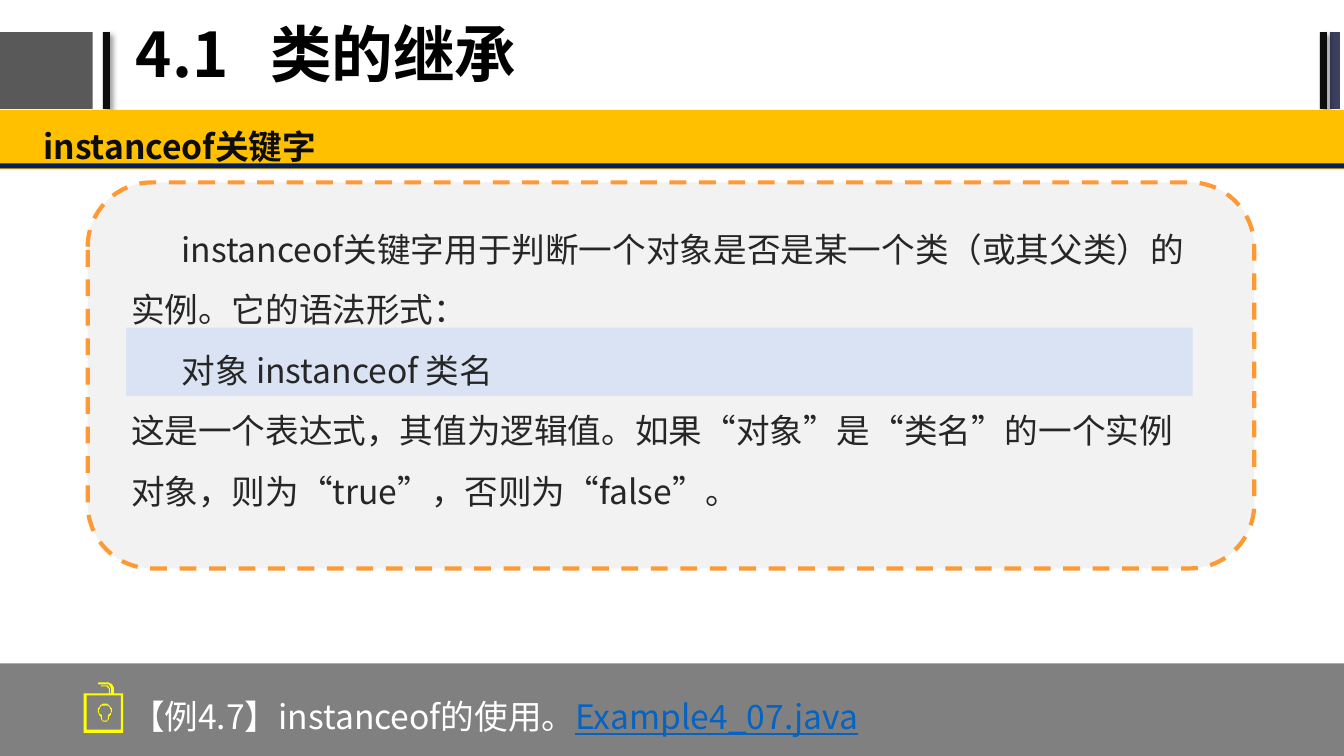
from dataclasses import dataclass
from math import cos, radians, sin

from lxml.etree import SubElement
from pptx import Presentation
from pptx.dml.color import RGBColor
from pptx.enum.dml import MSO_LINE
from pptx.enum.shapes import MSO_SHAPE
from pptx.enum.text import MSO_ANCHOR
from pptx.oxml.ns import qn
from pptx.util import Emu, Pt

SCALE = 9144
FONT = "Noto Sans CJK SC"
ICON_YELLOW = "FFFF00"

Point = tuple[float, float]


@dataclass(frozen=True)
class Box:
    left: int
    top: int
    width: int
    height: int
    fill: str
    shadow: bool = False
    rounded: bool = False
    dash: str = ""


@dataclass(frozen=True)
class Run:
    text: str
    color: str
    underline: bool = False


@dataclass(frozen=True)
class Line:
    runs: tuple[Run, ...]
    indent: int = 0
    tab: int = 0


@dataclass(frozen=True)
class Label:
    left: int
    top: int
    width: int
    height: int
    lines: tuple[Line, ...]
    spacing: float
    size: int = 24
    bold: bool = False
    middle: bool = False
    inset: tuple[int, int] = (13, 7)


def px(length: int) -> Emu:
    return Emu(length * SCALE)


def rgb(color: str) -> RGBColor:
    return RGBColor.from_string(color)


def add_shadow(shape) -> None:
    effects = shape._element.spPr.find(qn("a:effectLst"))
    shadow = SubElement(effects, qn("a:outerShdw"), blurRad=str(Pt(4)),
                        dist=str(Pt(3)), dir="2700000", algn="tl", rotWithShape="0")
    color = SubElement(shadow, qn("a:srgbClr"), val="000000")
    SubElement(color, qn("a:alpha"), val="40000")


def draw_box(slide, box: Box) -> None:
    kind = MSO_SHAPE.ROUNDED_RECTANGLE if box.rounded else MSO_SHAPE.RECTANGLE
    shape = slide.shapes.add_shape(kind, px(box.left), px(box.top), px(box.width), px(box.height))
    shape.shadow.inherit = False
    shape.fill.solid()
    shape.fill.fore_color.rgb = rgb(box.fill)
    if box.dash:
        shape.line.color.rgb = rgb(box.dash)
        shape.line.width = Pt(3)
        shape.line.dash_style = MSO_LINE.DASH
    else:
        shape.line.fill.background()
    if box.shadow:
        add_shadow(shape)


def draw_label(slide, label: Label) -> None:
    shape = slide.shapes.add_textbox(px(label.left), px(label.top), px(label.width), px(label.height))
    frame = shape.text_frame
    frame.word_wrap = True
    frame.margin_left = frame.margin_right = px(label.inset[0])
    frame.margin_top = frame.margin_bottom = px(label.inset[1])
    frame.vertical_anchor = MSO_ANCHOR.MIDDLE if label.middle else MSO_ANCHOR.TOP
    for index, line in enumerate(label.lines):
        paragraph = frame.add_paragraph() if index else frame.paragraphs[0]
        paragraph.line_spacing = label.spacing
        properties = paragraph._p.get_or_add_pPr()
        if line.indent:
            properties.set("marL", "0")
            properties.set("indent", str(px(line.indent)))
        if line.tab:
            tabs = SubElement(properties, qn("a:tabLst"))
            SubElement(tabs, qn("a:tab"), pos=str(px(line.tab)), algn="l")
        paragraph.font.size = Pt(label.size)
        paragraph.font.bold = label.bold
        paragraph.font.name = FONT
        if len(line.runs) == 1:
            paragraph.font.color.rgb = rgb(line.runs[0].color)
        SubElement(properties.find(qn("a:defRPr")), qn("a:ea"), typeface=FONT)
        for part in line.runs:
            run = paragraph.add_run()
            run.text = part.text
            if len(line.runs) > 1:
                run.font.color.rgb = rgb(part.color)
            if part.underline:
                run.font.underline = True


def arc(x: int, y: int, radius_x: int, radius_y: int, start: int, end: int) -> list[Point]:
    steps = 24
    angles = [radians(start + (end - start) * step / steps) for step in range(steps + 1)]
    return [(x + radius_x * cos(angle), y + radius_y * sin(angle)) for angle in angles]


def bulb_contour(radius_x: int, radius_y: int, base_x: int, base_y: int) -> list[Point]:
    return arc(104, 705, radius_x, radius_y, 120, 420) + arc(104, 713, base_x, base_y, 0, 180)


def draw_outline(slide, contours: list[list[Point]], color: str) -> None:
    builder = slide.shapes.build_freeform(*contours[0][0], scale=SCALE)
    for index, contour in enumerate(contours):
        if index:
            builder.move_to(*contour[0])
        builder.add_line_segments(contour[1:], close=True)
    shape = builder.convert_to_shape()
    shape.shadow.inherit = False
    shape.fill.solid()
    shape.fill.fore_color.rgb = rgb(color)
    shape.line.fill.background()


def body_line(text: str, indent: int = 0) -> Line:
    return Line((Run(text, "262626"),), indent)


BOXES = (
    Box(-2, 32, 94, 76, "595959"),
    Box(102, 32, 7, 76, "0D0D0D", shadow=True),
    Box(1319, 32, 10, 76, "3B3F60"),
    Box(1309, 32, 7, 76, "0D0D0D", shadow=True),
    Box(-5, 109, 1340, 59, "FFC000"),
    Box(0, 162, 1333, 5, "002060"),
    Box(87, 181, 1157, 383, "F2F2F2", rounded=True, dash="FF9933"),
    Box(125, 325, 1058, 68, "DAE3F3"),
    Box(0, 658, 1333, 92, "808080"),
)

LABELS = (
    Label(125, 2, 847, 110, (Line((Run("4.1\t类的继承", "000000"),), tab=133),),
          0.9, size=44, bold=True, middle=True, inset=(10, 5)),
    Label(30, 110, 1303, 58, (Line((Run("instanceof关键字", "0D0D0D"),)),), 1.2, bold=True),
    Label(117, 200, 1083, 367, (
        body_line("instanceof关键字用于判断一个对象是否是某一个类（或其父类）的实例。它的语法形式：", 50),
        body_line("对象 instanceof 类名", 50),
        body_line("这是一个表达式，其值为逻辑值。如果“对象”是“类名”的一个实例对象，则为“true”，否则为“false”。"),
    ), 1.5),
    Label(117, 675, 1019, 75, (Line((
        Run("【例4.7】instanceof的使用。", "FFFFFF"),
        Run("Example4_07.java", "0563C1", underline=True),
    )),), 1.2),
)

LOCK = [
    [(83, 688), (108, 688), *arc(105, 685, 3, 4, 0, -90), (100, 681), (100, 680),
     *arc(105, 685, 4, 5, -90, 0), (109, 688), (110, 688), *arc(106, 684, 4, 5, 0, -90),
     (98, 679), (97, 678), (98, 677), *arc(106, 684, 7, 7, -90, 0), (113, 688),
     (122, 688), (122, 727), (83, 727)],
    [(86, 690), (120, 690), (120, 724), (86, 724)],
]
BULB = [bulb_contour(7, 7, 4, 3), bulb_contour(6, 5, 3, 2)]


def main() -> None:
    presentation = Presentation()
    presentation.slide_width = px(1333)
    presentation.slide_height = px(750)
    slide = presentation.slides.add_slide(presentation.slide_layouts[6])
    for box in BOXES:
        draw_box(slide, box)
    for icon in (LOCK, BULB):
        draw_outline(slide, icon, ICON_YELLOW)
    for label in LABELS:
        draw_label(slide, label)
    presentation.save("out.pptx")


if __name__ == "__main__":
    main()
